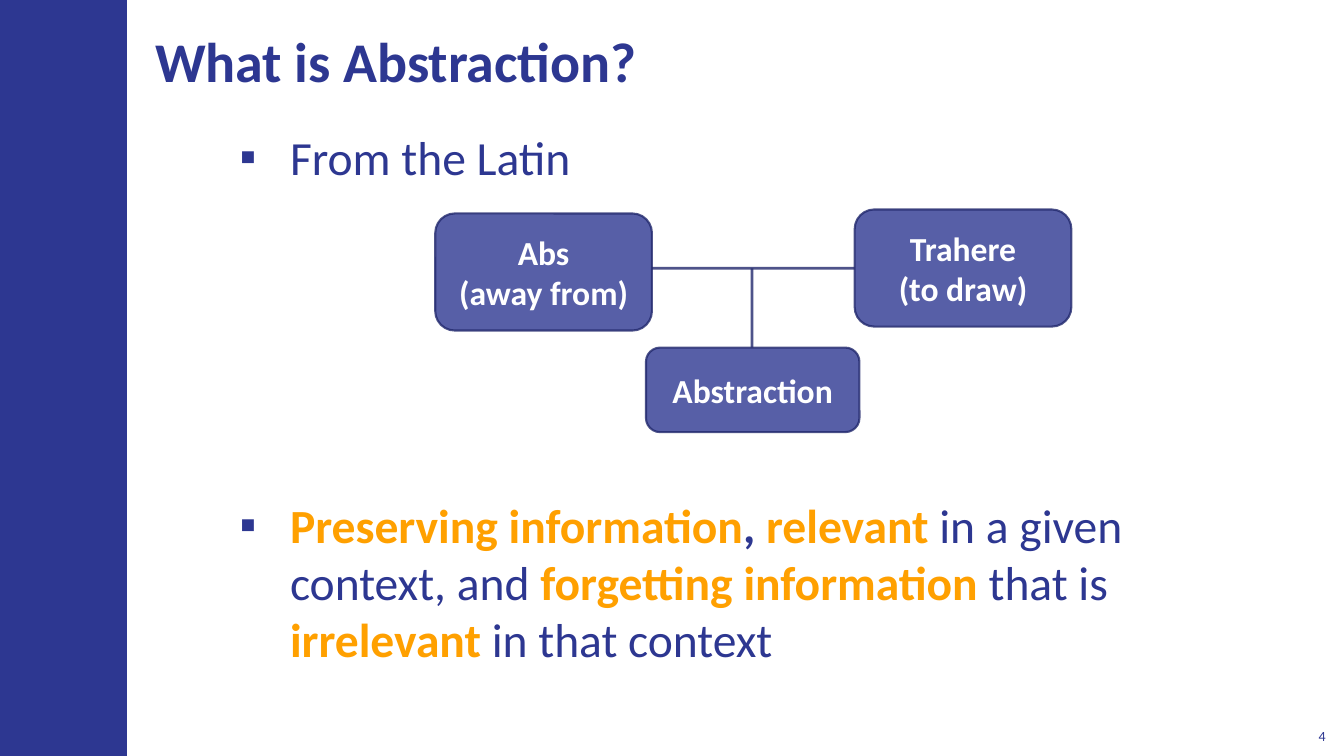
"""Build the slide that explains the origin and meaning of abstraction."""
import pptx
import pptx.dml.color
import pptx.enum.shapes
import pptx.enum.text
import pptx.oxml
import pptx.oxml.ns
import pptx.util

Cm = pptx.util.Cm
Pt = pptx.util.Pt
RGB = pptx.dml.color.RGBColor.from_string
SHAPE = pptx.enum.shapes.MSO_SHAPE
ALIGN = pptx.enum.text.PP_ALIGN
ANCHOR = pptx.enum.text.MSO_ANCHOR
qn = pptx.oxml.ns.qn

COLORS = {"navy": "2D3791", "edge": "22296D", "orange": "FFA000", "white": "FFFFFF"}


def write(tf, lines, size, color="navy", bold=False, align=ALIGN.LEFT,
          anchor=ANCHOR.TOP, inset=(0.25, 0.13)):
    """Fill a text frame; a line is a list of (text, color, bold) or plain text."""
    tf.word_wrap = True
    tf.vertical_anchor = anchor
    tf.margin_left = tf.margin_right = Cm(inset[0])
    tf.margin_top = tf.margin_bottom = Cm(inset[1])
    for i, line in enumerate(lines):
        p = tf.paragraphs[0] if i == 0 else tf.add_paragraph()
        p.alignment = align
        for text, tint, strong in [(line, color, bold)] if isinstance(line, str) else line:
            for j, part in enumerate(text.split("\n")):
                if j:
                    p.add_line_break()
                if part:
                    r = p.add_run()
                    r.text = part
                    r.font.name = "Calibri"
                    r.font.size = Pt(size)
                    r.font.bold = strong
                    r.font.color.rgb = RGB(COLORS[tint])


def outline(s, width):
    """Give a shape or connector the translucent edge line."""
    s.line.color.rgb = RGB(COLORS["edge"])
    s.line.width = Pt(width)
    for clr in s._element.spPr.iter(qn("a:srgbClr")):
        pptx.oxml.ns.qn("a:alpha")
        clr.append(pptx.oxml.parse_xml(
            '<a:alpha xmlns:a="http://schemas.openxmlformats.org/drawingml/2006/main" val="80000"/>'))


prs = pptx.Presentation()
prs.slide_width = Cm(33.87)
prs.slide_height = Cm(19.05)
slide = prs.slides.add_slide(prs.slide_layouts[6])
shapes = slide.shapes

bar = shapes.add_shape(SHAPE.RECTANGLE, 0, 0, Cm(3.2), prs.slide_height)
bar.shadow.inherit = False
bar.fill.solid()
bar.fill.fore_color.rgb = RGB(COLORS["navy"])
bar.line.fill.background()

body = shapes.add_textbox(Cm(5.74), Cm(3.12), Cm(27.58), Cm(14.66))
write(body.text_frame, [
    "From the Latin",
    [("Preserving information", "orange", True), (",", "navy", True),
     (" relevant ", "orange", True), ("in a given \ncontext, and ", "navy", False),
     ("forgetting information ", "orange", True), ("that is \n", "navy", False),
     ("irrelevant ", "orange", True), ("in that context", "navy", False)],
], 34, inset=(0.3, 0.1))
for p, before in zip(body.text_frame.paragraphs, (6, 216)):
    p.space_before = Pt(before)
    p.space_after = Pt(6)
    pPr = p._p.get_or_add_pPr()
    pPr.set("marL", str(Cm(1.27)))
    pPr.set("indent", str(-Cm(1.27)))
    for tag, attrs in (("a:buClr", {}), ("a:buFont", {"typeface": "Arial"}), ("a:buChar", {"char": "▪"})):
        bu = pPr.makeelement(qn(tag), attrs)
        pPr.append(bu)
        if tag == "a:buClr":
            bu.append(bu.makeelement(qn("a:srgbClr"), {"val": COLORS["navy"]}))

title = shapes.add_textbox(Cm(3.61), Cm(0.28), Cm(23.34), Cm(2.46))
write(title.text_frame, ["What is Abstraction?"], 40, bold=True,
      anchor=ANCHOR.MIDDLE, inset=(0.3, 0.1))

for lines, x, y, w, h in (
    (["Abs", "(away from)"], 10.97, 5.38, 5.46, 2.95),
    (["Trahere", "(to draw)"], 21.54, 5.28, 5.46, 2.95),
    (["Abstraction"], 16.28, 8.76, 5.38, 2.13),
):
    box = shapes.add_shape(SHAPE.ROUNDED_RECTANGLE, Cm(x), Cm(y), Cm(w), Cm(h))
    box.shadow.inherit = False
    box.fill.solid()
    box.fill.fore_color.rgb = RGB(COLORS["navy"])
    outline(box, 1.5)
    write(box.text_frame, lines, 24, "white", True, ALIGN.CENTER, ANCHOR.MIDDLE)

for x1, y1, x2, y2 in ((18.95, 6.76, 18.95, 8.76), (16.43, 6.76, 21.54, 6.76)):
    link = shapes.add_connector(pptx.enum.shapes.MSO_CONNECTOR.STRAIGHT,
                                Cm(x1), Cm(y1), Cm(x2), Cm(y2))
    outline(link, 2)
    spPr = link._element.spPr
    spPr.append(spPr.makeelement(qn("a:effectLst"), {}))

number = shapes.add_textbox(Cm(32.64), Cm(18.08), Cm(1.02), Cm(0.81))
write(number.text_frame, ["4"], 10, align=ALIGN.RIGHT, anchor=ANCHOR.BOTTOM)

prs.save("out.pptx")
